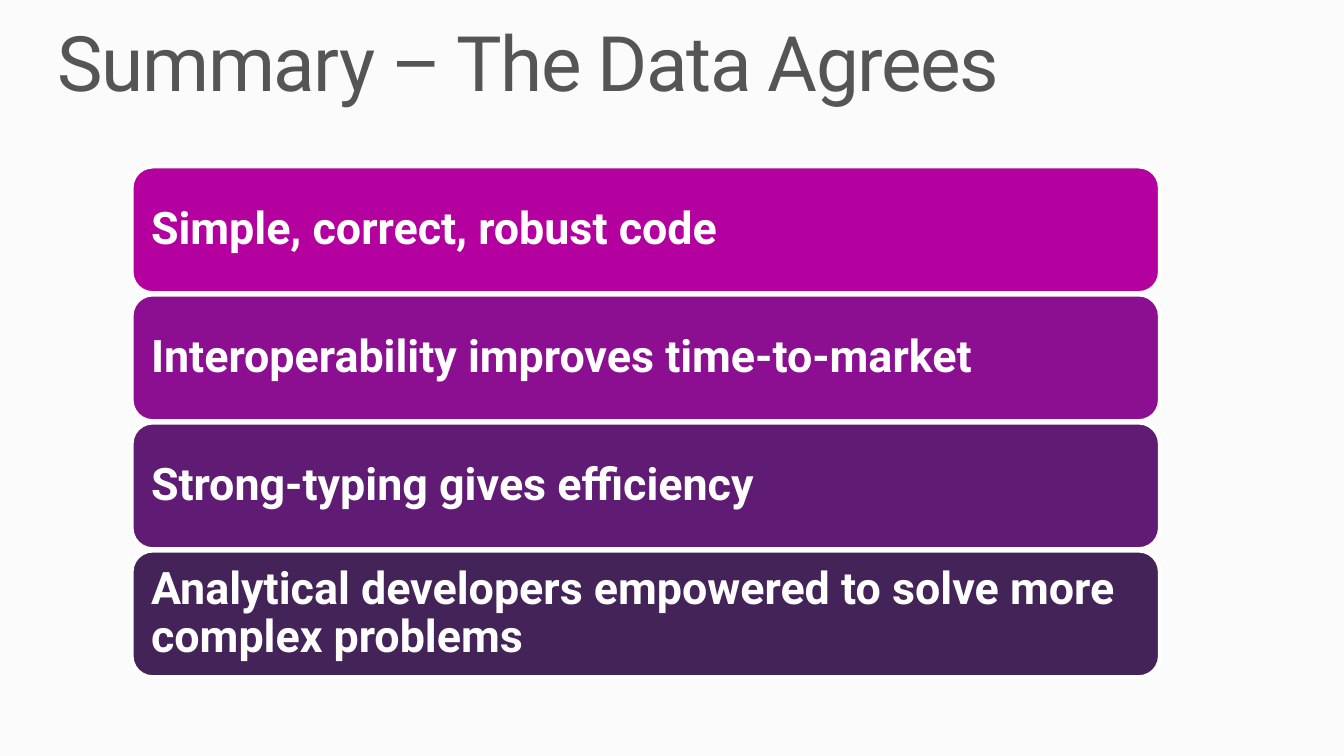
from pptx import Presentation
from pptx import util as u
from pptx.dml import color
from pptx.enum import shapes, text

FONT = "Roboto"
BARS = [
    ("Simple, correct, robust code", "B4009E"),
    ("Interoperability improves time-to-market", "8C0F92"),
    ("Strong-typing gives efficiency", "601B74"),
    ("Analytical developers empowered to solve more complex problems", "442359"),
]
BAR_LEFT, BAR_TOP = 2.49, 3.15
BAR_WIDTH, BAR_HEIGHT = 19.43, 2.39
BAR_PITCH = 2.42


def rgb(hex_colour):
    return color.RGBColor.from_string(hex_colour)


def write_text(shape, content, *, size, colour, bold=False, inset=0.0,
               anchor=text.MSO_ANCHOR.TOP, spacing=None):
    """Fill a shape with one left-aligned paragraph."""
    frame = shape.text_frame
    frame.word_wrap = True
    frame.auto_size = text.MSO_AUTO_SIZE.NONE
    frame.vertical_anchor = anchor
    frame.margin_left = frame.margin_right = u.Cm(inset)
    frame.margin_top = frame.margin_bottom = u.Cm(inset)
    paragraph = frame.paragraphs[0]
    paragraph.alignment = text.PP_ALIGN.LEFT
    paragraph.line_spacing = 0.9
    run = paragraph.add_run()
    run.text = content
    run.font.name = FONT
    run.font.size = u.Pt(size)
    run.font.bold = bold
    run.font.color.rgb = rgb(colour)
    if spacing is not None:
        # Character spacing is counted in hundredths of a point
        run.font._element.set("spc", str(round(spacing * 100)))


def set_title(slide, content):
    title = slide.shapes.title
    title.left, title.top = u.Cm(1.09), u.Cm(0.48)
    title.width, title.height = u.Cm(23.24), u.Cm(1.57)
    write_text(title, content, size=41, colour="555555", spacing=-0.8)


def add_bar(slide, top, content, fill):
    bar = slide.shapes.add_shape(
        shapes.MSO_SHAPE.ROUNDED_RECTANGLE,
        u.Cm(BAR_LEFT), u.Cm(top), u.Cm(BAR_WIDTH), u.Cm(BAR_HEIGHT))
    bar.shadow.inherit = False
    bar.fill.solid()
    bar.fill.fore_color.rgb = rgb(fill)
    bar.line.color.rgb = rgb("FFFFFF")
    bar.line.width = u.Pt(2)
    write_text(bar, content, size=24, colour="FFFFFF", bold=True,
               inset=0.25, anchor=text.MSO_ANCHOR.MIDDLE)


def main():
    presentation = Presentation()
    presentation.slide_width = u.Cm(25.4)
    presentation.slide_height = u.Cm(14.29)

    # Title-only slide with a plain background
    slide = presentation.slides.add_slide(presentation.slide_layouts[5])
    slide.background.fill.solid()
    slide.background.fill.fore_color.rgb = rgb("FBFBFB")
    set_title(slide, "Summary – The Data Agrees")

    # Stack of summary bars
    for index, (content, fill) in enumerate(BARS):
        add_bar(slide, BAR_TOP + index * BAR_PITCH, content, fill)

    presentation.save("out.pptx")


if __name__ == "__main__":
    main()
